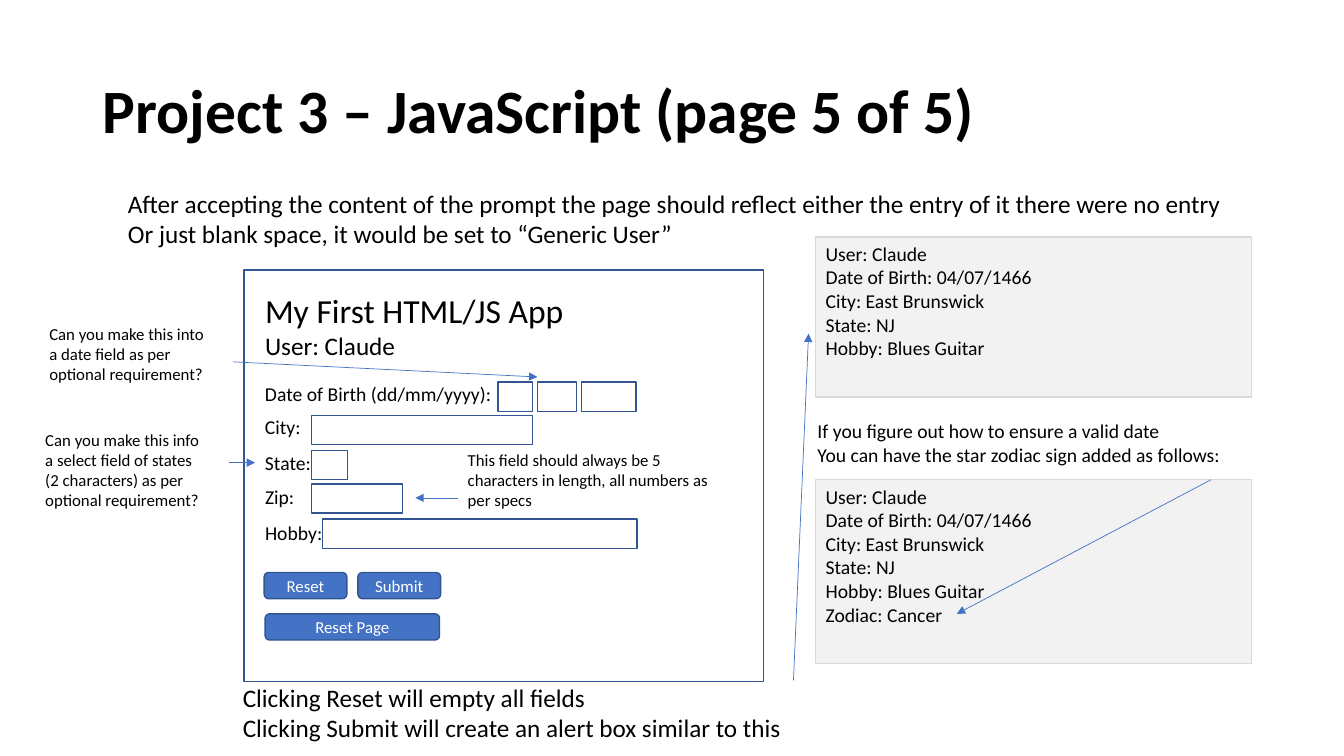
from dataclasses import dataclass

from lxml.etree import SubElement
from pptx import Presentation
from pptx.dml.color import RGBColor
from pptx.enum.shapes import MSO_CONNECTOR, MSO_SHAPE
from pptx.enum.text import MSO_ANCHOR, PP_ALIGN
from pptx.oxml.ns import qn
from pptx.util import Inches, Pt


@dataclass(frozen=True)
class Theme:
    font: str = "Calibri"
    text: str = "000000"
    paper: str = "FFFFFF"
    accent: str = "4472C4"
    outline: str = "325491"
    alert: str = "F2F2F2"
    alert_edge: str = "D9D9D9"
    title: int = 44
    heading: int = 24
    body: int = 18
    label: int = 14
    note: int = 12
    border: float = 1
    arrow: float = 0.5


THEME = Theme()
COLUMNS, ROWS = 133.3, 75
CELL = Inches(0.1)

FIELD_HEIGHT = 2.9
BUTTON_HEIGHT = 2.6
LABEL_LEFT = 25.3

FORM = [
    ("Date of Birth (dd/mm/yyyy):", 24.7, 37.4, 37.9, [(49.4, 3.4), (53.3, 3.9), (57.7, 5.4)]),
    ("City:", 5.6, 40.7, 41.2, [(30.9, 21.9)]),
    ("State:", 6.6, 44.2, 44.7, [(30.9, 3.6)]),
    ("Zip:", 4.9, 47.6, 48, [(30.9, 9)]),
    ("Hobby:", 7.8, 51.2, 51.5, [(32, 31.2)]),
]
BUTTONS = [("Reset", 26.2, 56.8, 8.2), ("Submit", 35.5, 56.8, 8.2), ("Reset Page", 26.3, 60.9, 17.3)]
NOTES = [
    ("Can you make this into a date field as per optional requirement?", (3.9, 31.6, 18.1, 7.1)),
    ("Can you make this info a select field of states (2 characters) as per optional requirement?",
     (3.5, 42.1, 18.1, 9.1)),
    ("This field should always be 5 characters in length, all numbers as per specs",
     (45.4, 44.1, 27.8, 7.1)),
]
ARROWS = [
    ((78.7, 67.5), (80.2, 33.1)),
    ((120.1, 47.6), (94.9, 60.9)),
    ((23.1, 35.9), (53.3, 37.4)),
    ((22.7, 45.9), (25.3, 45.9)),
    ((45.4, 49.4), (41.2, 49.4)),
]
ALERT = ["User: Claude", "Date of Birth: 04/07/1466", "City: East Brunswick", "State: NJ", "Hobby: Blues Guitar"]


def cells(*counts):
    return [round(count * CELL) for count in counts]


def write(frame, lines, sizes, color=THEME.text, bold=False, align=PP_ALIGN.LEFT):
    for index, (line, size) in enumerate(zip(lines, sizes)):
        para = frame.paragraphs[0] if index == 0 else frame.add_paragraph()
        para.text = line
        para.alignment = align
        para.font.name = THEME.font
        para.font.size = Pt(size)
        para.font.bold = bold
        para.font.color.rgb = RGBColor.from_string(color)


def add_text(page, area, lines, sizes, wrap=False, bold=False):
    box = page.shapes.add_textbox(*cells(*area))
    box.text_frame.word_wrap = wrap
    write(box.text_frame, lines, sizes, bold=bold)
    return box


def add_panel(page, area, fill=THEME.paper, line=THEME.outline, kind=MSO_SHAPE.RECTANGLE):
    panel = page.shapes.add_shape(kind, *cells(*area))
    panel.shadow.inherit = False
    panel.fill.solid()
    panel.fill.fore_color.rgb = RGBColor.from_string(fill)
    panel.line.color.rgb = RGBColor.from_string(line)
    panel.line.width = Pt(THEME.border)
    return panel


def add_title(page, text):
    box = add_text(page, (9.2, 4, 115, 14.5), [text], [THEME.title], wrap=True, bold=True)
    box.text_frame.vertical_anchor = MSO_ANCHOR.MIDDLE
    box.text_frame.paragraphs[0].line_spacing = 0.9


def add_form_row(page, label, label_width, label_top, field_top, fields):
    add_text(page, (LABEL_LEFT, label_top, label_width, 3.4), [label], [THEME.label])
    for left, width in fields:
        add_panel(page, (left, field_top, width, FIELD_HEIGHT))


def add_button(page, text, left, top, width):
    button = add_panel(page, (left, top, width, BUTTON_HEIGHT), THEME.accent, kind=MSO_SHAPE.ROUNDED_RECTANGLE)
    button.text_frame.vertical_anchor = MSO_ANCHOR.MIDDLE
    write(button.text_frame, [text], [THEME.note], THEME.paper, align=PP_ALIGN.CENTER)


def add_alert(page, top, height, lines):
    alert = add_panel(page, (80.9, top, 43.2, height), THEME.alert, THEME.alert_edge)
    alert.text_frame.vertical_anchor = MSO_ANCHOR.TOP
    write(alert.text_frame, lines, [THEME.label] * len(lines))


def add_arrow(page, start, end):
    arrow = page.shapes.add_connector(MSO_CONNECTOR.STRAIGHT, *cells(*start, *end))
    arrow.line.color.rgb = RGBColor.from_string(THEME.accent)
    arrow.line.width = Pt(THEME.arrow)
    SubElement(arrow.line._get_or_add_ln(), qn("a:tailEnd"), type="triangle")
    SubElement(arrow._element.spPr, qn("a:effectLst"))


def main():
    deck = Presentation()
    deck.slide_width, deck.slide_height = cells(COLUMNS, ROWS)
    page = deck.slides.add_slide(deck.slide_layouts[6])

    add_title(page, "Project 3 – JavaScript (page 5 of 5)")
    add_panel(page, (24.2, 26.8, 51.5, 40.8))
    add_text(page, (LABEL_LEFT, 28.3, 31.9, 8.1), ["My First HTML/JS App", "User: Claude"],
             [THEME.heading, THEME.body])
    add_text(page, (11.7, 18.2, 112.5, 7.1), [
        "After accepting the content of the prompt the page should reflect either the entry of it there were no entry",
        "Or just blank space, it would be set to “Generic User”",
    ], [THEME.body] * 2)
    for row in FORM:
        add_form_row(page, *row)
    for button in BUTTONS:
        add_button(page, *button)
    add_text(page, (23.1, 67.2, 56, 7.1), [
        "Clicking Reset will empty all fields",
        "Clicking Submit will create an alert box similar to this",
    ], [THEME.body] * 2)
    add_alert(page, 23.5, 15.9, ALERT)
    add_text(page, (80.1, 41.1, 42.3, 8.1), [
        "If you figure out how to ensure a valid date",
        "You can have the star zodiac sign added as follows:",
    ], [THEME.label] * 2)
    add_alert(page, 47.6, 18.2, ALERT + ["Zodiac: Cancer"])
    for text, area in NOTES:
        add_text(page, area, [text], [THEME.note], wrap=True)
    for start, end in ARROWS:
        add_arrow(page, start, end)

    deck.save("out.pptx")


if __name__ == "__main__":
    main()
